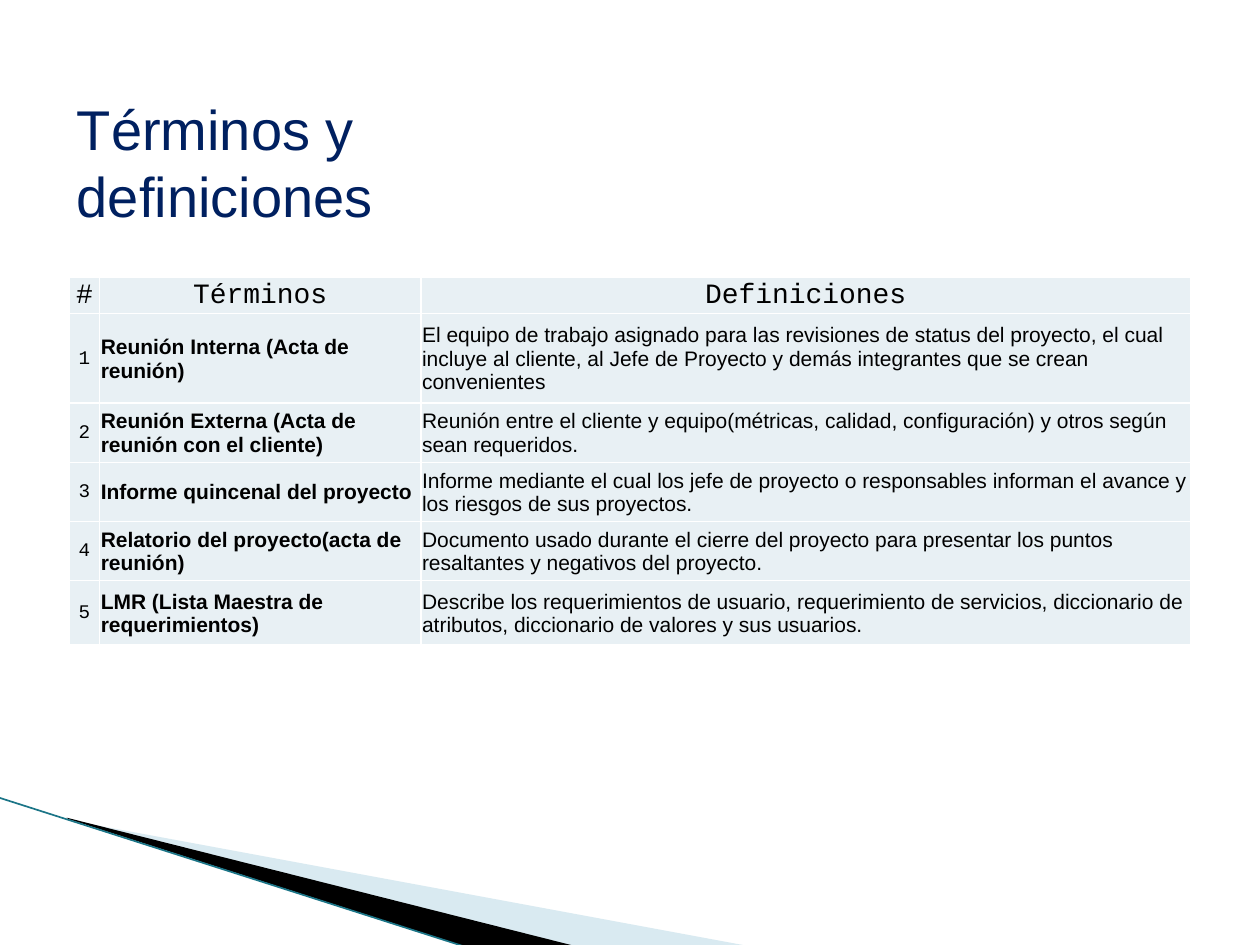
from lxml.etree import SubElement
from pptx import Presentation
from pptx.dml.color import RGBColor
from pptx.enum.shapes import MSO_CONNECTOR
from pptx.enum.text import MSO_ANCHOR, MSO_AUTO_SIZE, PP_ALIGN
from pptx.oxml.ns import qn
from pptx.util import Inches, Pt

HEADINGS = ["#", "Términos", "Definiciones"]
TERMS = [
    ("Reunión Interna (Acta de reunión)",
     "El equipo de trabajo asignado para las revisiones de status del proyecto, el cual "
     "incluye al cliente, al Jefe de Proyecto y demás integrantes que se crean convenientes"),
    ("Reunión Externa (Acta de reunión con el cliente)",
     "Reunión entre el cliente y equipo(métricas, calidad, configuración) y otros según "
     "sean requeridos."),
    ("Informe quincenal del proyecto",
     "Informe mediante el cual los jefe de proyecto o responsables informan el avance y "
     "los riesgos de sus proyectos."),
    ("Relatorio del proyecto(acta de reunión)",
     "Documento usado durante el cierre del proyecto para presentar los puntos "
     "resaltantes y negativos del proyecto."),
    ("LMR (Lista Maestra de requerimientos)",
     "Describe los requerimientos de usuario, requerimiento de servicios, diccionario de "
     "atributos, diccionario de valores y sus usuarios."),
]
COLUMN_WIDTHS = [0.24, 2.55, 6.11]
ROW_HEIGHTS = [0.29, 0.71, 0.47, 0.47, 0.47, 0.51]

# Font and alignment of the heading row and of each body column
HEADING = {"name": "Courier New", "size": 16, "bold": False, "align": PP_ALIGN.CENTER}
BODY = [
    {"name": "Courier New", "size": 11, "bold": False, "align": PP_ALIGN.CENTER},
    {"name": "Arial", "size": 12, "bold": True, "align": PP_ALIGN.LEFT},
    {"name": "Arial", "size": 12, "bold": False, "align": PP_ALIGN.LEFT},
]


def rgb(color):
    return RGBColor.from_string(color)


def write(frame, text, name, size, bold, align, color="000000"):
    paragraph = frame.paragraphs[0]
    paragraph.alignment = align
    run = paragraph.add_run()
    run.text = text
    for attribute, value in {"name": name, "size": Pt(size), "bold": bold}.items():
        setattr(run.font, attribute, value)
    run.font.color.rgb = rgb(color)


def add_wedge(slide, points, color, opacity=100):
    corners = [(Inches(x), Inches(y)) for x, y in points]
    builder = slide.shapes.build_freeform(*corners[0])
    builder.add_line_segments(corners[1:], close=True)
    wedge = builder.convert_to_shape()
    wedge.shadow.inherit = False
    wedge.fill.solid()
    wedge.fill.fore_color.rgb = rgb(color)
    wedge.line.fill.background()
    if opacity < 100:
        fill_color = wedge._element.spPr.find(qn("a:solidFill"))[0]
        SubElement(fill_color, qn("a:alpha"), val=str(opacity * 1000))


def add_edge(slide, start, end, color, width):
    edge = slide.shapes.add_connector(
        MSO_CONNECTOR.STRAIGHT, *[Inches(v) for v in (*start, *end)])
    edge.line.color.rgb = rgb(color)
    edge.line.width = Pt(width)
    SubElement(edge._element.spPr, qn("a:effectLst"))


def set_title(slide, text):
    title = slide.shapes.title
    box = {"left": 0.51, "top": 0.7, "width": 4.8, "height": 1.2}
    for attribute, value in box.items():
        setattr(title, attribute, Inches(value))
    frame = title.text_frame
    layout = {"word_wrap": True, "auto_size": MSO_AUTO_SIZE.NONE,
              "vertical_anchor": MSO_ANCHOR.TOP}
    for attribute, value in layout.items():
        setattr(frame, attribute, value)
    write(frame, text, "Arial", 32, False, PP_ALIGN.LEFT, "002060")


def add_borders(cell, color, width):
    properties = cell._tc.get_or_add_tcPr()
    for side in ("lnL", "lnR", "lnT", "lnB"):
        border = SubElement(properties, qn(f"a:{side}"), w=str(Pt(width)))
        SubElement(SubElement(border, qn("a:solidFill")), qn("a:srgbClr"), val=color)


def fill_cell(cell, text, style):
    margins = {"margin_left": 0.01, "margin_top": 0.01,
               "margin_right": 0.01, "margin_bottom": 0}
    for attribute, value in margins.items():
        setattr(cell, attribute, Inches(value))
    cell.vertical_anchor = MSO_ANCHOR.MIDDLE
    add_borders(cell, "FFFFFF", 1)
    cell.fill.solid()
    cell.fill.fore_color.rgb = rgb("E8F0F4")
    write(cell.text_frame, text, **style)


def add_glossary(slide):
    rows = [HEADINGS] + [(str(n), *entry) for n, entry in enumerate(TERMS, 1)]
    table = slide.shapes.add_table(
        len(rows), len(HEADINGS), Inches(0.55), Inches(2.2),
        Inches(sum(COLUMN_WIDTHS)), Inches(sum(ROW_HEIGHTS))).table
    table.first_row = table.horz_banding = False
    for column, width in zip(table.columns, COLUMN_WIDTHS):
        column.width = Inches(width)
    for r, (texts, height) in enumerate(zip(rows, ROW_HEIGHTS)):
        table.rows[r].height = Inches(height)
        for c, text in enumerate(texts):
            fill_cell(table.cell(r, c), text, BODY[c] if r else HEADING)


def main():
    deck = Presentation()
    deck.slide_width, deck.slide_height = Inches(10), Inches(7.5)
    slide = deck.slides.add_slide(deck.slide_layouts[5])

    # Corner decoration
    add_wedge(slide, [(0.55, 6.51), (5.95, 7.51), (4.56, 7.51), (0.55, 6.5)], "A0CBDC", 40)
    add_wedge(slide, [(0.53, 6.49), (4.57, 7.51), (3.72, 7.52), (0.54, 6.5)], "000000")
    add_edge(slide, (-0.01, 6.33), (3.71, 7.52), "1B7587", 0.95)

    # Title and glossary
    set_title(slide, "Términos y definiciones")
    add_glossary(slide)
    deck.save("out.pptx")


if __name__ == "__main__":
    main()
